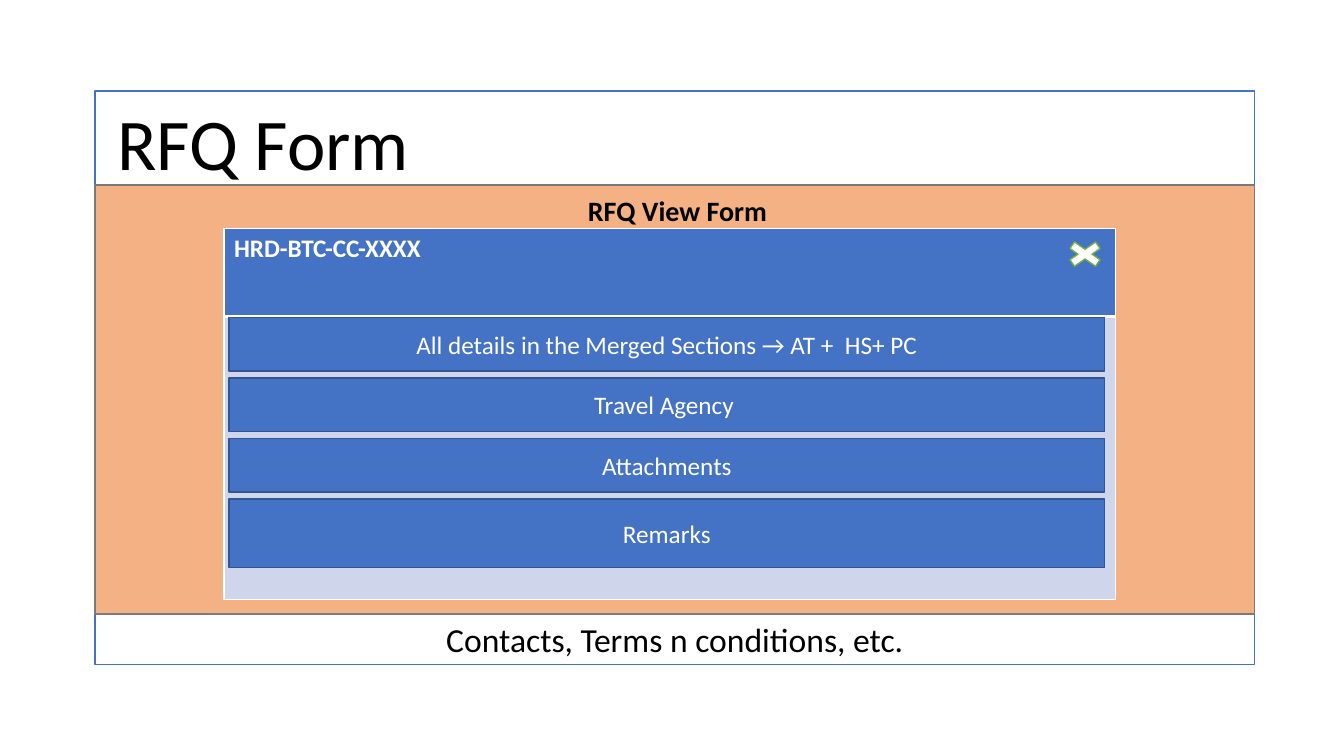
from lxml.etree import SubElement
from pptx import Presentation
from pptx.dml.color import RGBColor
from pptx.enum.shapes import MSO_SHAPE
from pptx.enum.text import MSO_ANCHOR, MSO_AUTO_SIZE, PP_ALIGN
from pptx.oxml.ns import qn
from pptx.util import Pt

COLORS = {
    "white": "FFFFFF", "black": "000000", "blue": "4472C4", "navy": "325491",
    "orange": "F4B183", "gray": "7A7A7A", "pale": "CFD5EA", "green": "70AD47",
}
FONT = "Calibri"
# Each section bar: label, top offset in the panel, height
SECTIONS = [
    ("All details in the Merged Sections → AT +  HS+ PC", 63.4, 38.2),
    ("Travel Agency ", 106.6, 38.2),
    ("Attachments", 149.8, 38.2),
    ("Remarks", 193, 49),
]


def color(name):
    return RGBColor.from_string(COLORS[name])


def write(frame, text, size=18, ink="black", bold=False,
          align=PP_ALIGN.LEFT, anchor=MSO_ANCHOR.TOP):
    frame.word_wrap = True
    frame.auto_size = MSO_AUTO_SIZE.NONE
    frame.vertical_anchor = anchor
    para = frame.paragraphs[0]
    para.alignment = align
    span = para.add_run()
    span.text = text
    span.font.name = FONT
    span.font.size = Pt(size)
    span.font.bold = bold
    span.font.color.rgb = color(ink)


def add_box(page, left, top, width, height, fill, line, kind=MSO_SHAPE.RECTANGLE):
    box = page.shapes.add_shape(kind, Pt(left), Pt(top), Pt(width), Pt(height))
    box.shadow.inherit = False
    box.fill.solid()
    box.fill.fore_color.rgb = color(fill)
    box.line.color.rgb = color(line)
    box.line.width = Pt(1)
    return box


def add_label(page, left, top, width, height, text, **style):
    label = page.shapes.add_textbox(Pt(left), Pt(top), Pt(width), Pt(height))
    write(label.text_frame, text, **style)


def style_cell(cell, fill, bottom):
    # Borders come before the fill in the cell properties
    properties = cell._tc.get_or_add_tcPr()
    for side, width in (("L", 1), ("R", 1), ("T", 1), ("B", bottom)):
        border = SubElement(properties, qn(f"a:ln{side}"), w=str(Pt(width)))
        solid = SubElement(border, qn("a:solidFill"))
        SubElement(solid, qn("a:srgbClr"), val=COLORS["white"])
    cell.fill.solid()
    cell.fill.fore_color.rgb = color(fill)


def add_form(page, left, top, width, height):
    # Outer frame and orange body
    add_box(page, left, top, width, height, "white", "blue")
    add_box(page, left, top + 67, width, 306.5, "orange", "gray")

    # Title, brought in front of the frame
    title = page.shapes.title
    title.left, title.top = Pt(left + 8.6), Pt(top + 1.4)
    title.width, title.height = Pt(800.6), Pt(133.2)
    write(title.text_frame, "RFQ Form", size=52)
    page.shapes._spTree.append(title._element)

    # Footer and body heading
    add_label(page, left, top + 373.5, width, 36, "Contacts, Terms n conditions, etc.",
              size=24, align=PP_ALIGN.CENTER)
    add_label(page, left + 344.9, top + 69.8, 216.7, 31.7, "RFQ View Form",
              size=20, bold=True)


def add_panel(page, left, top, width, height):
    # Table with header and body cells
    header = 62.6
    table = page.shapes.add_table(2, 1, Pt(left), Pt(top), Pt(width), Pt(height)).table
    table.rows[0].height = Pt(header)
    table.rows[1].height = Pt(height - header)
    style_cell(table.cell(0, 0), "blue", bottom=3)
    style_cell(table.cell(1, 0), "pale", bottom=1)
    write(table.cell(0, 0).text_frame, "HRD-BTC-CC-XXXX", ink="white", bold=True)

    # Section bars
    for text, offset, bar_height in SECTIONS:
        bar = add_box(page, left + 3.6, top + offset, width - 11.5, bar_height,
                      "blue", "navy")
        write(bar.text_frame, text, ink="white", align=PP_ALIGN.CENTER,
              anchor=MSO_ANCHOR.MIDDLE)

    # Close button
    add_box(page, left + width - 39.6, top + 5.8, 35.3, 24.5, "white", "green",
            MSO_SHAPE.MATH_MULTIPLY)


def main():
    deck = Presentation()
    deck.slide_width, deck.slide_height = Pt(960), Pt(540)
    page = deck.slides.add_slide(deck.slide_layouts[5])
    add_form(page, 68, 65, 828, 409.5)
    add_panel(page, 160, 163.5, 637, 265)
    deck.save("out.pptx")


if __name__ == "__main__":
    main()
